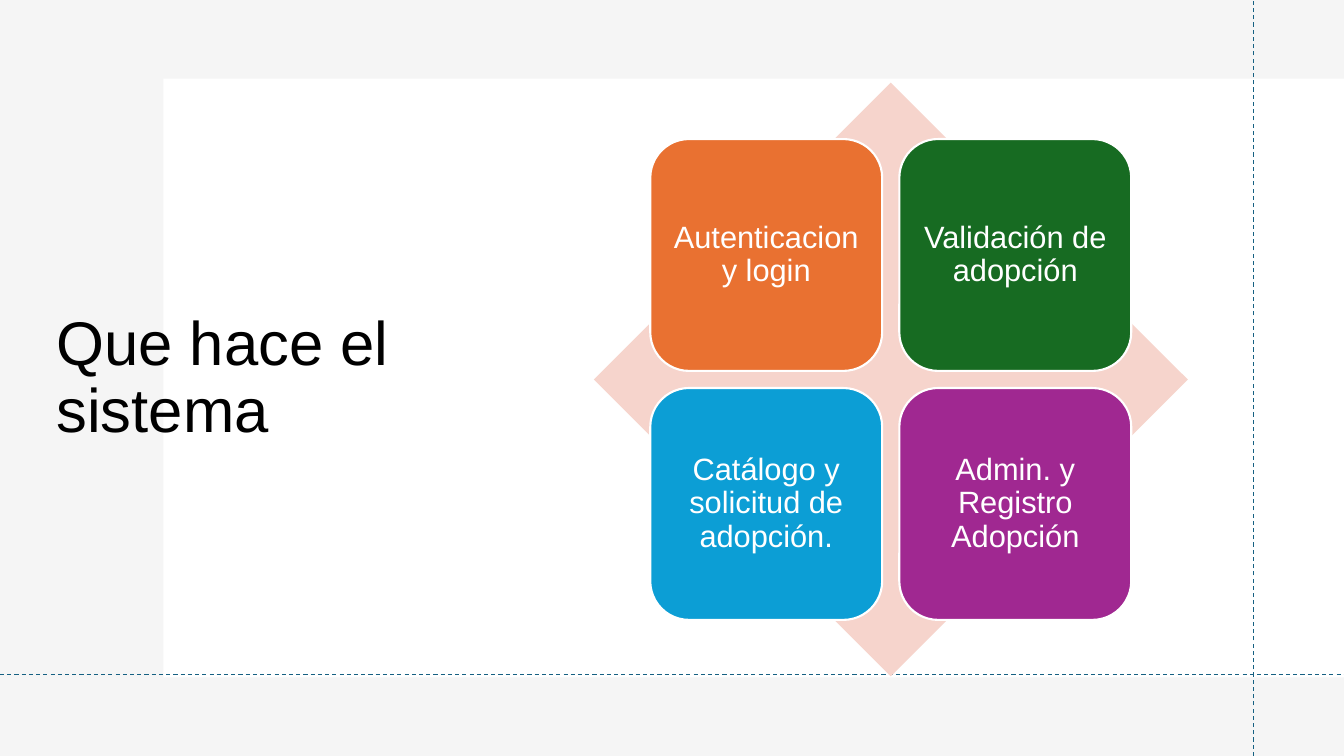
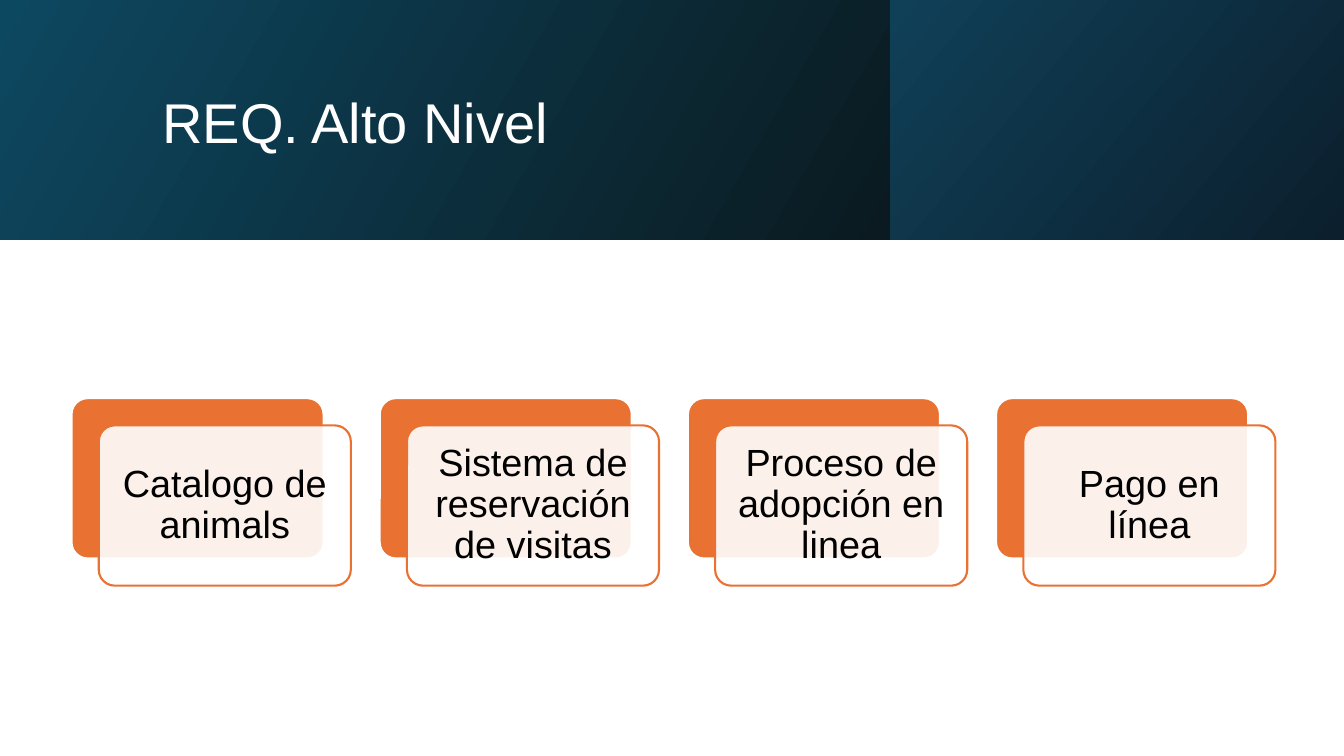
from lxml import etree
from pptx import Presentation
from pptx.dml.color import RGBColor
from pptx.enum.dml import MSO_LINE
from pptx.enum.shapes import MSO_CONNECTOR, MSO_SHAPE
from pptx.enum.text import MSO_ANCHOR, MSO_AUTO_SIZE, PP_ALIGN
from pptx.oxml.ns import qn
from pptx.util import Inches, Pt

RECTANGLE = MSO_SHAPE.RECTANGLE
ROUNDED = MSO_SHAPE.ROUNDED_RECTANGLE
DIAMOND = MSO_SHAPE.DIAMOND
STRAIGHT = MSO_CONNECTOR.STRAIGHT
DASH = MSO_LINE.DASH
MIDDLE = MSO_ANCHOR.MIDDLE
NO_AUTOFIT = MSO_AUTO_SIZE.NONE
LEFT = PP_ALIGN.LEFT
CENTER = PP_ALIGN.CENTER

SLIDE_WIDTH, SLIDE_HEIGHT = 13.33, 7.5
TITLE_ONLY_LAYOUT = 5
FONT = "Arial"
WHITE, BLACK, ORANGE = "FFFFFF", "000000", "E97131"
GRAY, TEAL, PINK = "F5F5F5", "156082", "F6D4CC"

FUNCTIONS = [
    ("Autenticacion y login", ORANGE),
    ("Validación de adopción", "176B22"),
    ("Catálogo y solicitud de adopción.", "0C9ED5"),
    ("Admin. y Registro Adopción", "A02891"),
]
REQUIREMENTS = [
    "Catalogo de animals",
    "Sistema de reservación de visitas",
    "Proceso de adopción en linea",
    "Pago en línea",
]


def rgb(color):
    return RGBColor.from_string(color)


def add_box(slide, kind, box, fill, line=None, corner=None):
    shape = slide.shapes.add_shape(kind, *map(Inches, box))
    shape.shadow.inherit = False
    shape.fill.solid()
    shape.fill.fore_color.rgb = rgb(fill)
    if line:
        shape.line.color.rgb = rgb(line)
        shape.line.width = Pt(1.5)
    else:
        shape.line.fill.background()
    if corner is not None:
        shape.adjustments[0] = corner
    return shape


def set_opacity(shape, percent):
    color = shape.fill._xPr.find(qn("a:solidFill")).find(qn("a:srgbClr"))
    etree.SubElement(color, qn("a:alpha"), val=str(percent * 1000))


def write_text(shape, text, size, color, align, margins):
    frame = shape.text_frame
    frame.text = text
    frame.word_wrap = True
    frame.auto_size = NO_AUTOFIT
    frame.vertical_anchor = MIDDLE
    horizontal, vertical = map(Inches, margins)
    frame.margin_left = frame.margin_right = horizontal
    frame.margin_top = frame.margin_bottom = vertical
    paragraph = frame.paragraphs[0]
    paragraph.alignment = align
    paragraph.line_spacing = 0.9
    font = paragraph.runs[0].font
    font.name = FONT
    font.size = Pt(size)
    font.color.rgb = rgb(color)


def place_title(slide, text, box, size, color):
    title = slide.shapes.title
    title.left, title.top, title.width, title.height = map(Inches, box)
    write_text(title, text, size, color, LEFT, (0.1, 0.05))
    slide.shapes._spTree.append(title._element)


def add_guide(slide, start, end):
    guide = slide.shapes.add_connector(STRAIGHT, *map(Inches, start + end))
    guide.line.color.rgb = rgb(TEAL)
    guide.line.width = Pt(0.75)
    guide.line.dash_style = DASH
    etree.SubElement(guide._element.spPr, qn("a:effectLst"))


def add_gradient_band(slide, box, start, end, angle):
    band = add_box(slide, RECTANGLE, box, start)
    band.fill.gradient()
    band.fill.gradient_angle = angle
    for stop, color in zip(band.fill.gradient_stops, (start, end)):
        stop.color.rgb = rgb(color)


def add_matrix(slide, left, top, size):
    add_box(slide, DIAMOND, (left, top, size, size), PINK)
    tile, pitch = 2.3, 2.47
    inset = (size - tile - pitch) / 2
    for index, (text, color) in enumerate(FUNCTIONS):
        row, column = divmod(index, 2)
        box = (left + inset + column * pitch, top + inset + row * pitch, tile, tile)
        shape = add_box(slide, ROUNDED, box, color, WHITE, 0.167)
        write_text(shape, text, 22, WHITE, CENTER, (0.09, 0.09))


def add_cards(slide, left, top, width):
    card_width, card_height, offset = 2.5, 1.59, 0.27
    pitch = (width - card_width - offset) / (len(REQUIREMENTS) - 1)
    for index, text in enumerate(REQUIREMENTS):
        x = left + index * pitch
        add_box(slide, ROUNDED, (x, top, card_width, card_height), ORANGE, WHITE, 0.1)
        front_box = (x + offset, top + offset, card_width, card_height)
        front = add_box(slide, ROUNDED, front_box, WHITE, ORANGE, 0.1)
        set_opacity(front, 90)
        write_text(front, text, 27, BLACK, CENTER, (0.11, 0.11))


def new_slide(presentation, background):
    slide = presentation.slides.add_slide(presentation.slide_layouts[TITLE_ONLY_LAYOUT])
    slide.background.fill.solid()
    slide.background.fill.fore_color.rgb = rgb(background)
    return slide


def build_functions_slide(presentation):
    slide = new_slide(presentation, GRAY)
    add_box(slide, RECTANGLE, (1.62, 0.78, SLIDE_WIDTH - 1.62, 5.94), WHITE)
    place_title(slide, "Que hace el sistema", (0.46, 1.04, 4.19, 5.44), 44, BLACK)
    add_guide(slide, (12.43, SLIDE_HEIGHT), (12.43, 0))
    add_guide(slide, (0, 6.69), (SLIDE_WIDTH, 6.69))
    add_matrix(slide, 5.89, 0.82, 5.89)


def build_requirements_slide(presentation):
    slide = new_slide(presentation, WHITE)
    split, height = 8.83, 2.38
    add_gradient_band(slide, (0, 0, split, height), "0D4861", "0B1A20", 330)
    add_gradient_band(slide, (split, 0, SLIDE_WIDTH - split, height), "104058", "0B1F2D", 320)
    place_title(slide, "REQ. Alto Nivel", (1.51, 0.38, 10.63, 1.72), 40, WHITE)
    add_cards(slide, 0.71, 3.95, 11.94)


def main():
    presentation = Presentation()
    presentation.slide_width = Inches(SLIDE_WIDTH)
    presentation.slide_height = Inches(SLIDE_HEIGHT)
    build_functions_slide(presentation)
    build_requirements_slide(presentation)
    presentation.save("out.pptx")


if __name__ == "__main__":
    main()
